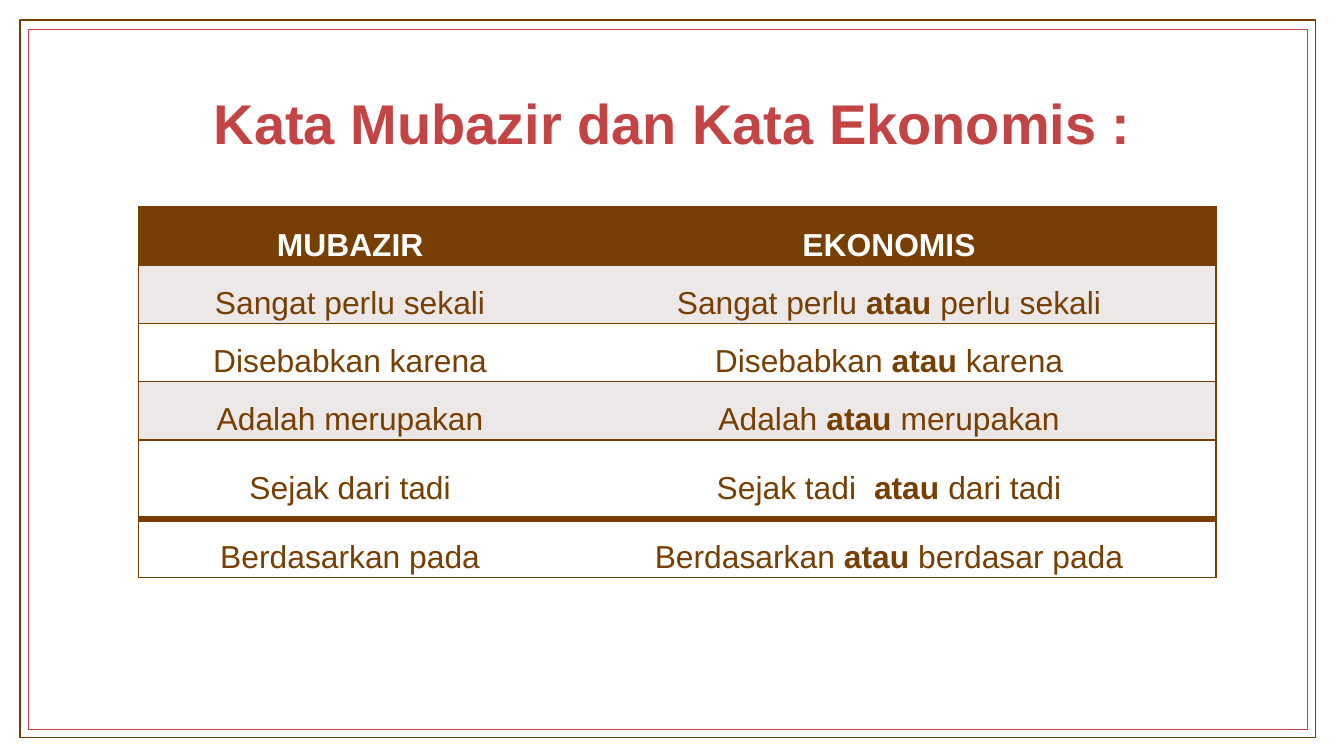
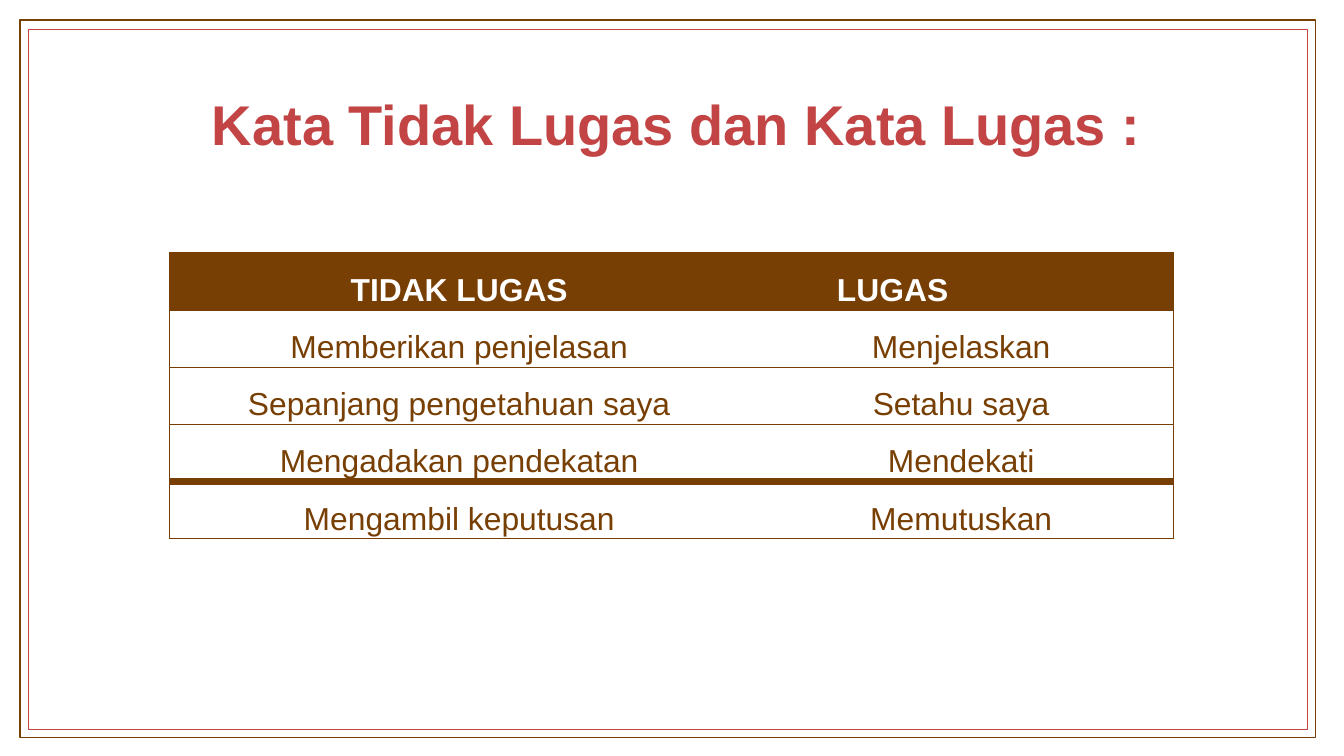
from dataclasses import dataclass

from lxml import etree
from pptx import Presentation
from pptx.dml.color import RGBColor
from pptx.enum.shapes import MSO_SHAPE
from pptx.enum.text import MSO_ANCHOR, PP_ALIGN
from pptx.oxml.ns import qn
from pptx.util import Pt

RECTANGLE = MSO_SHAPE.RECTANGLE
MIDDLE = MSO_ANCHOR.MIDDLE
CENTER = PP_ALIGN.CENTER


@dataclass(frozen=True)
class Theme:
    font: str = "Arial"
    title_size: float = 30
    table_size: float = 17
    brown: str = "783F04"
    grid_brown: str = "783E01"
    red: str = "C24445"
    band: str = "ECE8E7"
    white: str = "FFFFFF"
    frame_line: float = 0.75
    divider: float = 4
    indent: float = 42.5
    hanging: float = -14.4


THEME = Theme()
SLIDE_SIZE = (720, 405)
FRAMES = [
    ((10.8, 10.8, 694.1, 384.5), THEME.brown),
    ((15.1, 15.8, 685.4, 375.1), THEME.red),
]


@dataclass(frozen=True)
class WordTable:
    """One comparison of words; a body cell given as a tuple has its middle part in bold."""
    title: str
    title_box: tuple
    box: tuple
    columns: tuple
    heights: tuple
    rows: tuple
    line_color: str
    line_width: float
    banded_rows: tuple = ()
    last_header_margin: float = 0


def points(values):
    return [Pt(value) for value in values]


def style_font(font, size, color, bold):
    font.name = THEME.font
    font.size = Pt(size)
    font.bold = bold
    font.color.rgb = RGBColor.from_string(color)


def add_frames(slide):
    for box, color in FRAMES:
        frame = slide.shapes.add_shape(RECTANGLE, *points(box))
        frame.shadow.inherit = False
        frame.fill.background()
        frame.line.color.rgb = RGBColor.from_string(color)
        frame.line.width = Pt(THEME.frame_line)


def add_title(slide, text, box):
    frame = slide.shapes.add_textbox(*points(box)).text_frame
    frame.word_wrap = True
    frame.vertical_anchor = MIDDLE
    frame.margin_left = frame.margin_right = Pt(7.2)
    frame.margin_top = frame.margin_bottom = Pt(7.2)
    frame.text = text
    paragraph = frame.paragraphs[0]
    paragraph.alignment = CENTER
    style_font(paragraph.runs[0].font, THEME.title_size, THEME.red, True)


def set_borders(cell, borders):
    """Draw the sides in borders, {side: (color, width)}, and clear the others."""
    properties = cell._tc.get_or_add_tcPr()
    for position, side in enumerate("LRTB"):
        line = etree.Element(qn(f"a:ln{side}"))
        if side in borders:
            color, width = borders[side]
            line.set("w", str(Pt(width)))
            fill = etree.SubElement(line, qn("a:solidFill"))
            etree.SubElement(fill, qn("a:srgbClr"), val=color)
        else:
            etree.SubElement(line, qn("a:noFill"))
        properties.insert(position, line)


def write_cell(cell, content, color, bold):
    cell.vertical_anchor = MIDDLE
    cell.margin_left = cell.margin_right = 0
    cell.margin_top = cell.margin_bottom = 0
    paragraph = cell.text_frame.paragraphs[0]
    properties = paragraph._p.get_or_add_pPr()
    properties.set("marL", str(Pt(THEME.indent)))
    properties.set("indent", str(Pt(THEME.hanging)))
    etree.SubElement(properties, qn("a:buNone"))
    tabs = etree.SubElement(properties, qn("a:tabLst"))
    etree.SubElement(tabs, qn("a:tab"), pos=str(Pt(THEME.indent)), algn="l")
    paragraph.alignment = CENTER
    paragraph.line_spacing = 1.5
    parts = (content,) if isinstance(content, str) else content
    for index, part in enumerate(parts):
        run = paragraph.add_run()
        run.text = part
        style_font(run.font, THEME.table_size, color, bold or index == 1)


def cell_borders(words, row, column):
    """Outer edges and row lines, with a heavy divider above the last row."""
    thin = (words.line_color, words.line_width)
    heavy = (THEME.brown, THEME.divider)
    last = len(words.rows) - 1
    return {
        "L" if column == 0 else "R": thin,
        "T": heavy if row == last else thin,
        "B": heavy if row == last - 1 else thin,
    }


def add_word_table(slide, words):
    table = slide.shapes.add_table(
        len(words.rows), len(words.columns), *points(words.box)).table
    table.first_row = table.horz_banding = False
    for column, width in zip(table.columns, words.columns):
        column.width = Pt(width)
    for row, height in zip(table.rows, words.heights):
        row.height = Pt(height)
    for r, contents in enumerate(words.rows):
        header = r == 0
        fill = THEME.brown if header else THEME.band if r in words.banded_rows else THEME.white
        for c, content in enumerate(contents):
            cell = table.cell(r, c)
            write_cell(cell, content, THEME.white if header else THEME.brown, header)
            cell.fill.solid()
            cell.fill.fore_color.rgb = RGBColor.from_string(fill)
            set_borders(cell, cell_borders(words, r, c))
    table.cell(0, len(words.columns) - 1).margin_right = Pt(words.last_header_margin)


def add_word_slide(deck, words):
    slide = deck.slides.add_slide(deck.slide_layouts[6])
    add_frames(slide)
    add_title(slide, words.title, words.title_box)
    add_word_table(slide, words)


REDUNDANT_WORDS = WordTable(
    title="Kata Mubazir dan Kata Ekonomis :",
    title_box=(56.9, 42.5, 607, 45.4),
    box=(74.2, 110.9, 577.4, 198.7),
    columns=(198.7, 378.7),
    heights=(31.2, 31.2, 31.2, 31.2, 42.5, 31.2),
    rows=(
        ("MUBAZIR", "EKONOMIS"),
        ("Sangat perlu sekali", ("Sangat perlu ", "atau ", "perlu sekali")),
        ("Disebabkan karena", ("Disebabkan ", "atau ", "karena")),
        ("Adalah merupakan", ("Adalah ", "atau ", "merupakan")),
        ("Sejak dari tadi", ("Sejak tadi  ", "atau ", "dari tadi")),
        ("Berdasarkan pada", ("Berdasarkan ", "atau ", "berdasar pada")),
    ),
    line_color=THEME.brown,
    line_width=1,
    banded_rows=(1, 3),
)

INDIRECT_WORDS = WordTable(
    title="Kata Tidak Lugas dan Kata Lugas :",
    title_box=(59, 43.2, 607, 45.4),
    box=(90.9, 135.4, 537.8, 134.5),
    columns=(282.2, 255.6),
    heights=(26.9,) * 5,
    rows=(
        ("TIDAK LUGAS", "LUGAS"),
        ("Memberikan penjelasan", "Menjelaskan"),
        ("Sepanjang pengetahuan saya", "Setahu saya"),
        ("Mengadakan pendekatan", "Mendekati"),
        ("Mengambil keputusan", "Memutuskan"),
    ),
    line_color=THEME.grid_brown,
    line_width=0.75,
    last_header_margin=73.5,
)


def main():
    deck = Presentation()
    deck.slide_width, deck.slide_height = points(SLIDE_SIZE)
    for words in (REDUNDANT_WORDS, INDIRECT_WORDS):
        add_word_slide(deck, words)
    deck.save("out.pptx")


if __name__ == "__main__":
    main()
